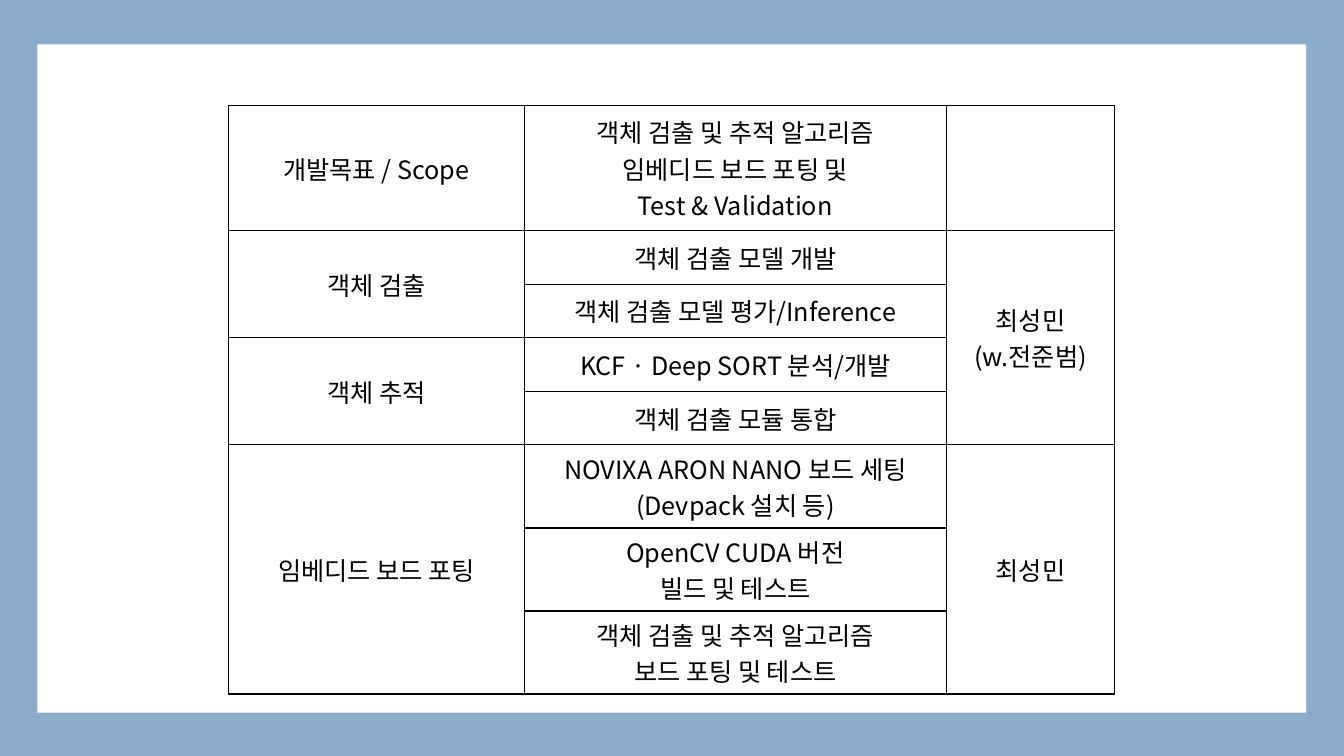
from pptx import Presentation
from pptx.dml.color import RGBColor as RGB
from pptx.enum.shapes import MSO_SHAPE as Shape
from pptx.enum.text import MSO_ANCHOR as Anchor, PP_ALIGN as Align
from pptx.oxml.ns import qn
from pptx.util import Cm, Pt
from lxml.etree import SubElement

COLORS = {"frame": "8AACCA", "panel": "FFFFFF", "ink": "000000"}


class SlideBuilder:
    font = "Noto Sans CJK KR"
    size = Pt(18)
    border = Pt(1)

    def __init__(self, deck):
        self.slide = deck.slides.add_slide(deck.slide_layouts[6])

    def background(self, color):
        fill = self.slide.background.fill
        fill.solid()
        fill.fore_color.rgb = RGB.from_string(COLORS[color])

    def panel(self, left, top, width, height, color):
        panel = self.slide.shapes.add_shape(
            Shape.RECTANGLE, Cm(left), Cm(top), Cm(width), Cm(height))
        panel.shadow.inherit = False
        panel.fill.solid()
        panel.fill.fore_color.rgb = RGB.from_string(COLORS[color])
        panel.line.fill.background()

    def table(self, left, top, widths, heights, entries, merges):
        table = self.slide.shapes.add_table(
            len(heights), len(widths), Cm(left), Cm(top),
            Cm(sum(widths)), Cm(sum(heights))).table
        table.first_row = table.horz_banding = False
        for column, width in zip(table.columns, widths):
            column.width = Cm(width)
        for row, height in zip(table.rows, heights):
            row.height = Cm(height)
        for cell in table.iter_cells():
            self.outline(cell)
            cell.fill.background()
        for first, last, column in merges:
            table.cell(first, column).merge(table.cell(last, column))
        for (row, column), text in entries.items():
            self.cell_text(table.cell(row, column), text)

    def outline(self, cell):
        properties = cell._tc.get_or_add_tcPr()
        for side in ("a:lnL", "a:lnR", "a:lnT", "a:lnB"):
            line = SubElement(properties, qn(side), w=str(self.border))
            fill = SubElement(line, qn("a:solidFill"))
            SubElement(fill, qn("a:srgbClr"), val=COLORS["ink"])

    def cell_text(self, cell, text):
        cell.vertical_anchor = Anchor.MIDDLE
        cell.text_frame.text = text
        for paragraph in cell.text_frame.paragraphs:
            paragraph.alignment = Align.CENTER
            for run in paragraph.runs:
                run.font.size = self.size
                run.font.name = self.font
                run.font.color.rgb = RGB.from_string(COLORS["ink"])
                # Hangul takes the East Asian font
                SubElement(run.font._element, qn("a:ea"), typeface=self.font)


def main():
    deck = Presentation()
    deck.slide_width, deck.slide_height = Cm(33.87), Cm(19.05)
    builder = SlideBuilder(deck)

    # Blue frame around a white panel
    builder.background("frame")
    builder.panel(0.94, 1.12, 31.98, 16.84, "panel")

    # Work plan: area, tasks, person in charge
    tasks = [
        "객체 검출 및 추적 알고리즘\n임베디드 보드 포팅 및\nTest & Validation",
        "객체 검출 모델 개발",
        "객체 검출 모델 평가/Inference",
        "KCF · Deep SORT 분석/개발",
        "객체 검출 모듈 통합",
        "NOVIXA ARON NANO 보드 세팅(Devpack 설치 등)",
        "OpenCV CUDA 버전\n빌드 및 테스트",
        "객체 검출 및 추적 알고리즘\n보드 포팅 및 테스트",
    ]
    areas = {0: "개발목표 / Scope", 1: "객체 검출", 3: "객체 추적",
             5: "임베디드 보드 포팅"}
    owners = {1: "최성민\n(w.전준범)", 5: "최성민"}
    entries = {(row, column): text
               for column, texts in enumerate((areas, dict(enumerate(tasks)), owners))
               for row, text in texts.items()}
    merges = [(1, 2, 0), (3, 4, 0), (5, 7, 0), (1, 4, 2), (5, 7, 2)]
    heights = [3.15] + [1.35] * 4 + [1.93, 1.35, 1.93]
    builder.table(5.76, 2.66, [7.45, 10.64, 4.24], heights, entries, merges)

    deck.save("out.pptx")


if __name__ == "__main__":
    main()
